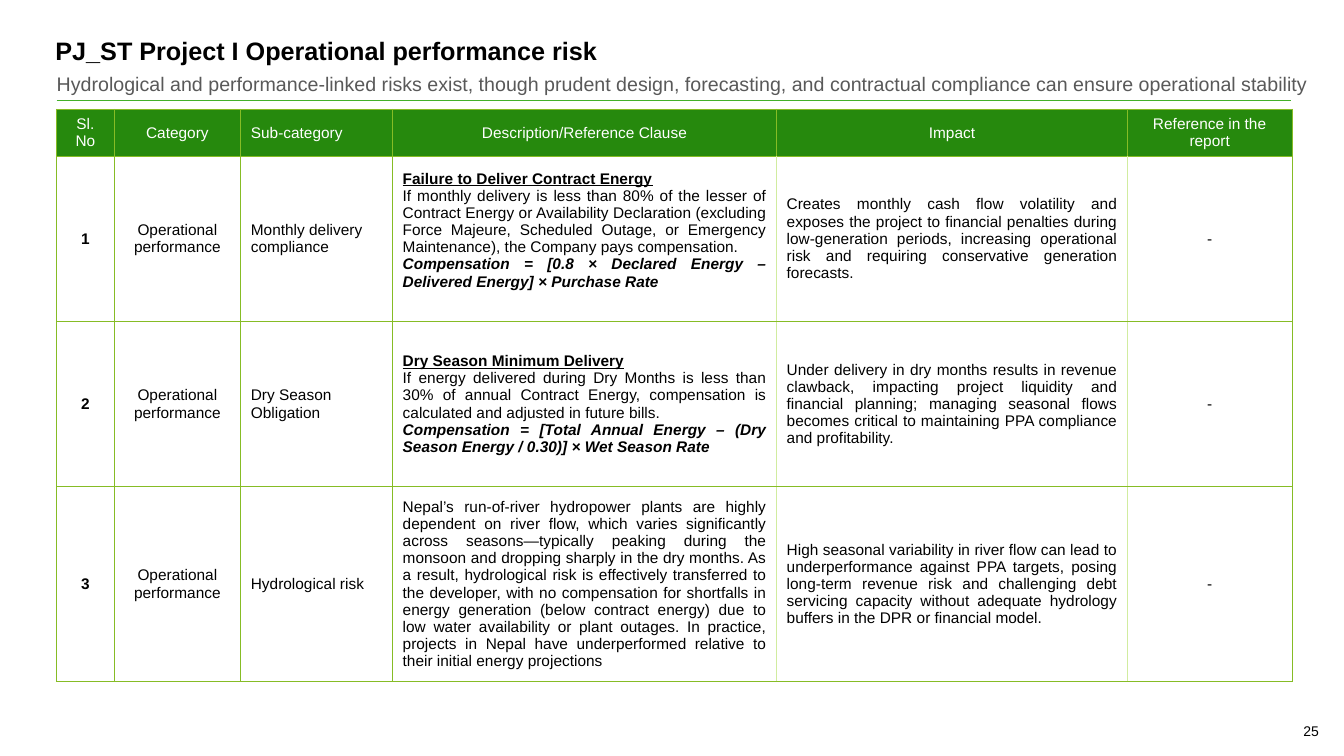
from lxml import etree
from pptx import Presentation
from pptx.dml.color import RGBColor
from pptx.enum.shapes import MSO_CONNECTOR
from pptx.enum.text import MSO_ANCHOR, PP_ALIGN
from pptx.oxml.ns import qn
from pptx.util import Pt

LEFT, CENTER, JUSTIFY = PP_ALIGN.LEFT, PP_ALIGN.CENTER, PP_ALIGN.JUSTIFY
MIDDLE = MSO_ANCHOR.MIDDLE
STRAIGHT = MSO_CONNECTOR.STRAIGHT

BLACK = RGBColor(0x00, 0x00, 0x00)
WHITE = RGBColor(0xFF, 0xFF, 0xFF)
GRAY = RGBColor(0x59, 0x59, 0x59)
HEADER_GREEN = RGBColor(0x26, 0x89, 0x0D)
RULE_GREEN = RGBColor(0x43, 0xB0, 0x2A)
GRID_GREEN = RGBColor(0x86, 0xBC, 0x25)
PALE_GREEN = RGBColor(0xD1, 0xEC, 0xA0)

HEADING = {"bold": True, "underline": True}
FORMULA = {"bold": True, "italic": True}
GRID = (GRID_GREEN, 0.5)
SOFT = (PALE_GREEN, 1)

COLUMNS = [41, 90.5, 108.5, 274.3, 250.6, 117.5]
ROWS = [24.5, 118, 118, 118]
HEADER = ["Sl. No", "Category", "Sub-category", "Description/Reference Clause",
          "Impact", "Reference in the report"]
HEADER_ALIGN = [CENTER, CENTER, LEFT, CENTER, CENTER, CENTER]
BODY_ALIGN = [CENTER, CENTER, LEFT, JUSTIFY, JUSTIFY, CENTER]
RISKS = [
    ("Monthly delivery compliance",
     [("Failure to Deliver Contract Energy", HEADING),
      ("If monthly delivery is less than 80% of the lesser of Contract Energy or Availability "
       "Declaration (excluding Force Majeure, Scheduled Outage, or Emergency Maintenance), "
       "the Company pays compensation.", {}),
      ("Compensation = [0.8 × Declared Energy – Delivered Energy] × Purchase Rate", FORMULA)],
     "Creates monthly cash flow volatility and exposes the project to financial penalties during "
     "low-generation periods, increasing operational risk and requiring conservative generation "
     "forecasts."),
    ("Dry Season Obligation",
     [("Dry Season Minimum Delivery", HEADING),
      ("If energy delivered during Dry Months is less than 30% of annual Contract Energy, "
       "compensation is calculated and adjusted in future bills.", {}),
      ("Compensation = [Total Annual Energy – (Dry Season Energy / 0.30)] × Wet Season Rate",
       FORMULA)],
     "Under delivery in dry months results in revenue clawback, impacting project liquidity and "
     "financial planning; managing seasonal flows becomes critical to maintaining PPA compliance "
     "and profitability."),
    ("Hydrological risk",
     [("Nepal’s run-of-river hydropower plants are highly dependent on river flow, which varies "
       "significantly across seasons—typically peaking during the monsoon and dropping sharply in "
       "the dry months. As a result, hydrological risk is effectively transferred to the "
       "developer, with no compensation for shortfalls in energy generation (below contract "
       "energy) due to low water availability or plant outages. In practice, projects in Nepal "
       "have underperformed relative to their initial energy projections", {})],
     "High seasonal variability in river flow can lead to underperformance against PPA targets, "
     "posing long-term revenue risk and challenging debt servicing capacity without adequate "
     "hydrology buffers in the DPR or financial model."),
]


class SlideBuilder:
    """Hold the text style and current slide, and add elements in points."""

    def __init__(self, s, font="Arial"):
        self.s = s
        self.font = font

    def fill_text(self, tf, paragraphs, size, color, align=LEFT):
        for i, (text, formats) in enumerate(paragraphs):
            p = tf.paragraphs[0] if i == 0 else tf.add_paragraph()
            p.alignment = align
            r = p.add_run()
            r.text = text
            r.font.color.rgb = color
            style = {"name": self.font, "size": Pt(size), "bold": False, **formats}
            for name, value in style.items():
                setattr(r.font, name, value)

    def text(self, box, text, size, color, align=LEFT, wrap=True, **formats):
        sp = self.s.shapes.add_textbox(*map(Pt, box))
        tf = sp.text_frame
        tf.word_wrap = wrap
        for side in ("left", "top", "right", "bottom"):
            setattr(tf, f"margin_{side}", 0)
        self.fill_text(tf, [(text, formats)], size, color, align)

    def line(self, x1, y1, x2, y2, color, width):
        cx = self.s.shapes.add_connector(STRAIGHT, *map(Pt, (x1, y1, x2, y2)))
        cx.line.color.rgb = color
        cx.line.width = Pt(width)
        etree.SubElement(cx._element.spPr, qn("a:effectLst"))

    def borders(self, cell, **sides):
        tc_pr = cell._tc.get_or_add_tcPr()
        for i, side in enumerate("LRTB"):
            color, width = sides.get(side, GRID)
            ln = etree.Element(qn(f"a:ln{side}"), w=str(Pt(width)))
            fill = etree.SubElement(ln, qn("a:solidFill"))
            etree.SubElement(fill, qn("a:srgbClr"), val=str(color))
            tc_pr.insert(i, ln)

    def cell(self, cell, paragraphs, color, align, fill=None, **sides):
        cell.vertical_anchor = MIDDLE
        if fill is None:
            cell.fill.background()
        else:
            cell.fill.solid()
            cell.fill.fore_color.rgb = fill
        self.fill_text(cell.text_frame, paragraphs, 11, color, align)
        self.borders(cell, **sides)

    def table(self, x, y, columns, rows):
        frame = self.s.shapes.add_table(len(rows), len(columns), Pt(x), Pt(y),
                                        Pt(sum(columns)), Pt(sum(rows)))
        table = frame.table
        for column, width in zip(table.columns, columns):
            column.width = Pt(width)
        for row, height in zip(table.rows, rows):
            row.height = Pt(height)
        return table


def main():
    prs = Presentation()
    prs.slide_width, prs.slide_height = Pt(960), Pt(540)
    slide = SlideBuilder(prs.slides.add_slide(prs.slide_layouts[6]))

    slide.text((931, 516, 19, 12), "25", 10, BLACK, wrap=False)
    slide.text((39.6, 25.4, 881, 27), "PJ_ST Project I Operational performance risk",
               18, BLACK, bold=True)
    slide.line(40.5, 72, 922.5, 72, RULE_GREEN, 1)
    slide.text((40.5, 51.3, 902, 20),
               "Hydrological and performance-linked risks exist, though prudent design, forecasting, "
               "and contractual compliance can ensure operational stability", 14, GRAY, JUSTIFY)

    table = slide.table(40.5, 78, COLUMNS, ROWS)
    for col, (title, align) in enumerate(zip(HEADER, HEADER_ALIGN)):
        slide.cell(table.cell(0, col), [(title, {})], WHITE, align, HEADER_GREEN)
    for row, (risk, description, impact) in enumerate(RISKS, 1):
        contents = [[(str(row), {"bold": True})], [("Operational performance", {})],
                    [(risk, {})], description, [(impact, {})], [("-", {})]]
        for col, (paragraphs, align) in enumerate(zip(contents, BODY_ALIGN)):
            sides = {"L": SOFT if col in (4, 5) else GRID, "R": SOFT if col in (3, 4) else GRID}
            slide.cell(table.cell(row, col), paragraphs, BLACK, align, **sides)
    table.cell(1, 3).margin_bottom = Pt(16)

    prs.save("out.pptx")


if __name__ == "__main__":
    main()
